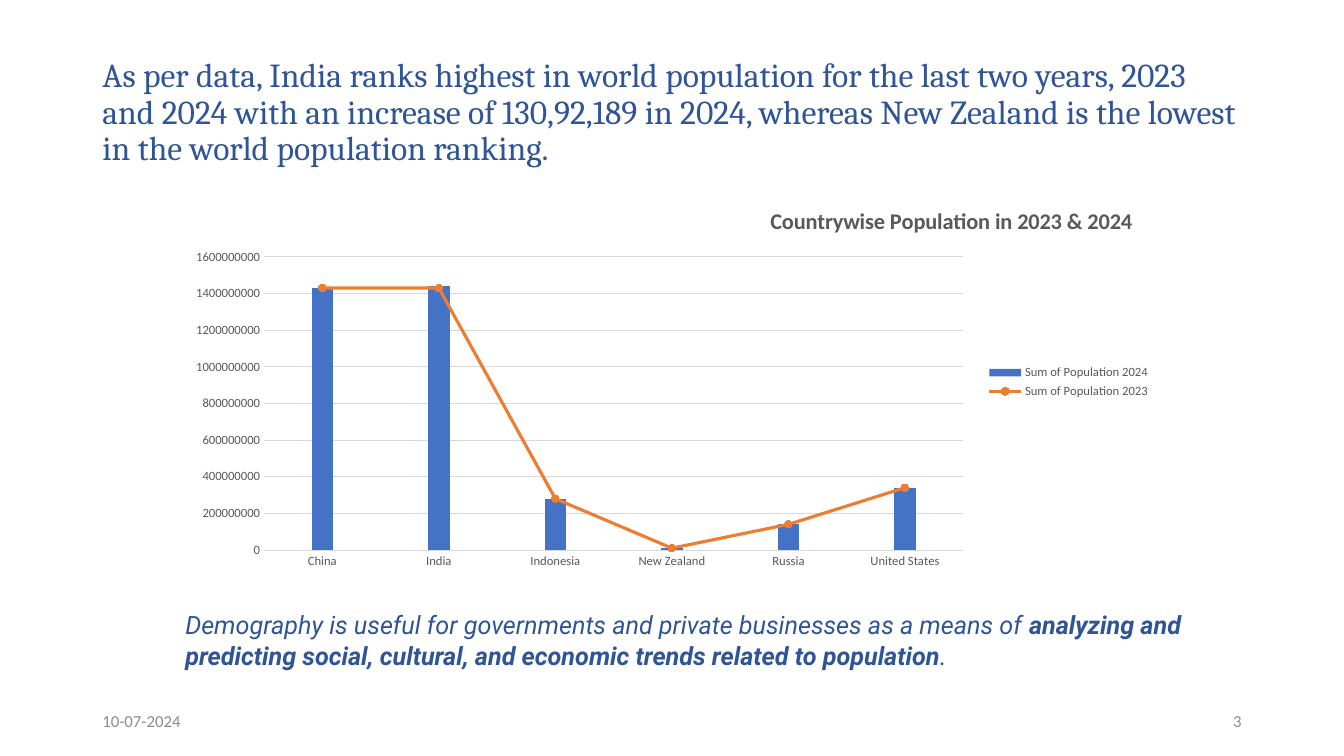
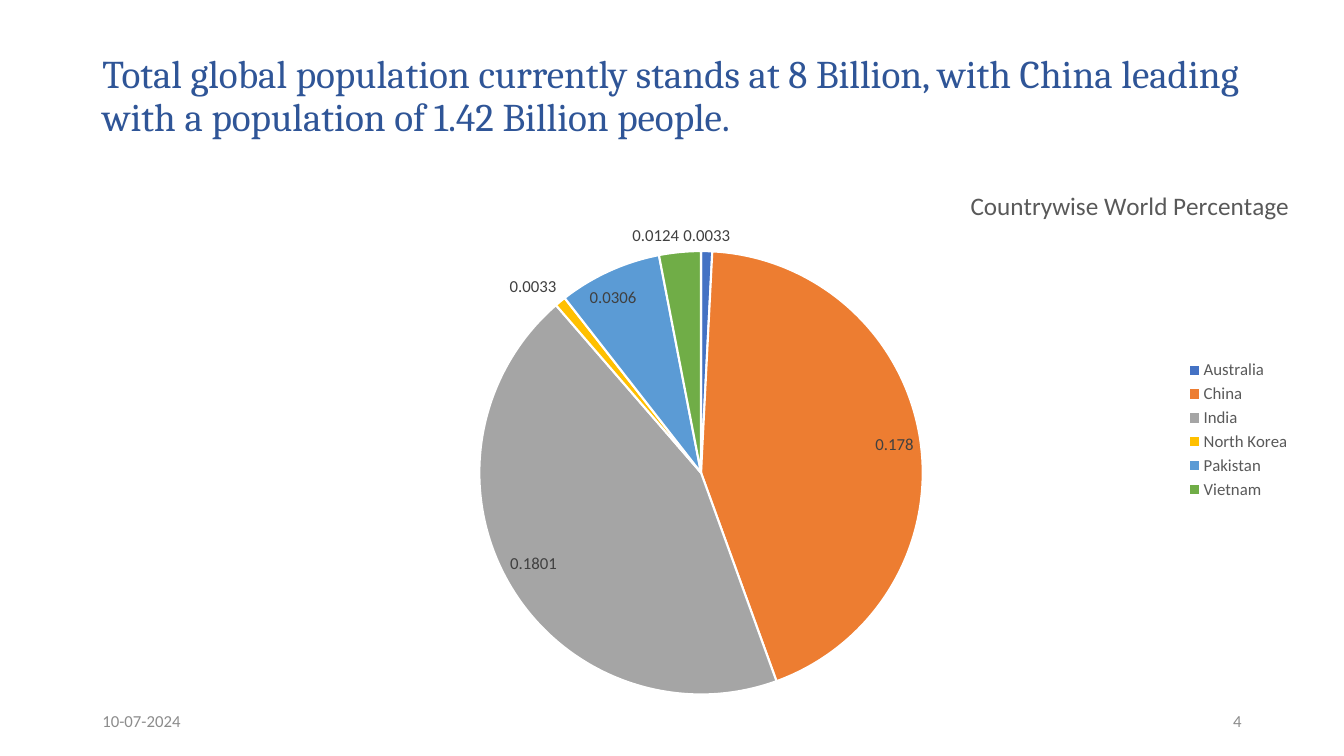
from pptx import Presentation
from pptx.chart import data
from pptx.dml.color import RGBColor
from pptx.enum import chart as kinds, text
from pptx.oxml import parse_xml
from pptx.oxml.ns import nsdecls
from pptx.util import Pt

HUES = {
    "head": "2F5597", "foot": "8C8C8C", "soft": "595959", "grid": "D9D9D9",
    "label": "404040", "black": "000000", "white": "FFFFFF",
    "blue": "4472C4", "orange": "ED7D31", "gray": "A5A5A5",
    "gold": "FFC000", "sky": "5B9BD5", "green": "70AD47",
}
SLICES = ["blue", "orange", "gray", "gold", "sky", "green"]


def hue(name):
    return RGBColor.from_string(HUES[name])


def place(node, index, **spots):
    for old in node.xpath("c:layout"):
        node.remove(old)
    modes = "".join(f'<c:{key}Mode val="edge"/>' for key in "xy")
    sizes = "".join(f'<c:{key} val="{val}"/>' for key, val in spots.items())
    inner = '<c:layoutTarget val="inner"/>' if "w" in spots else ""
    node.insert(index, parse_xml(
        f'<c:layout {nsdecls("c")}><c:manualLayout>{inner}{modes}{sizes}'
        '</c:manualLayout></c:layout>'))


def split(chart):
    bars = chart.element.xpath(".//c:barChart")[0]
    last = bars.xpath("c:ser")[-1]
    for flag in last.xpath("c:invertIfNegative"):
        last.remove(flag)
    lines = parse_xml(
        f'<c:lineChart {nsdecls("c")}><c:grouping val="standard"/>'
        '<c:varyColors val="0"/><c:marker val="1"/></c:lineChart>')
    lines.insert(2, last)
    for axis in bars.xpath("c:axId"):
        lines.append(parse_xml(
            f'<c:axId {nsdecls("c")} val="{axis.get("val")}"/>'))
    bars.addnext(lines)


class Deck:
    def __init__(self):
        self.show = Presentation()
        self.show.slide_width, self.show.slide_height = Pt(960), Pt(540)
        self.slide = None

    def font(self, font, size, color, face="Calibri", bold=False, slant=False):
        font.name, font.size = face, Pt(size)
        font.bold, font.italic = bold, slant
        font.color.rgb = hue(color)

    def title(self, words, top, size):
        self.slide = self.show.slides.add_slide(self.show.slide_layouts[5])
        box = self.slide.shapes.title
        box.left, box.top, box.width, box.height = map(Pt, (66, top, 828, 104.4))
        frame = box.text_frame
        frame.word_wrap = True
        frame.auto_size = text.MSO_AUTO_SIZE.NONE
        frame.vertical_anchor = text.MSO_ANCHOR.MIDDLE
        para = frame.paragraphs[0]
        para.alignment, para.line_spacing = text.PP_ALIGN.LEFT, 0.9
        run = para.add_run()
        run.text = words
        self.font(run.font, size, "head", "Cambria")

    def box(self, spot, runs, anchor=text.MSO_ANCHOR.TOP,
            align=text.PP_ALIGN.LEFT, **style):
        frame = self.slide.shapes.add_textbox(*map(Pt, spot)).text_frame
        frame.word_wrap, frame.vertical_anchor = True, anchor
        para = frame.paragraphs[0]
        para.alignment = align
        for words, bold in runs:
            run = para.add_run()
            run.text = words
            self.font(run.font, bold=bold, **style)

    def footer(self, number):
        sides = [(66, "10-07-2024", text.PP_ALIGN.LEFT),
                 (678, number, text.PP_ALIGN.RIGHT)]
        for left, words, align in sides:
            self.box((left, 500.25, 216, 28.75), [(words, False)],
                     text.MSO_ANCHOR.MIDDLE, align, size=12, color="foot")

    def chart(self, kind, spot, cats, series, title, size, bold, at, plot, key):
        feed = data.CategoryChartData()
        feed.categories = cats
        for name, vals in series:
            feed.add_series(name, vals)
        chart = self.slide.shapes.add_chart(kind, *map(Pt, spot), feed).chart
        self.font(chart.font, 10, "black")
        chart.has_title = True
        run = chart.chart_title.text_frame.paragraphs[0].add_run()
        run.text = title
        self.font(run.font, size, "soft", bold=bold)
        place(chart.chart_title.element, 1, **dict(zip("xy", at)))
        place(chart.element.xpath(".//c:plotArea")[0], 0,
              **dict(zip("xywh", plot)))
        chart.has_legend = True
        chart.legend.position = kinds.XL_LEGEND_POSITION.RIGHT
        chart.legend.include_in_layout = False
        self.font(chart.legend.font, key, "soft")
        return chart

    def combo(self, **args):
        chart = self.chart(kinds.XL_CHART_TYPE.COLUMN_CLUSTERED, **args)
        split(chart)
        bars, lines = chart.plots
        bars.gap_width, bars.vary_by_categories = 444, False
        fill = bars.series[0].format.fill
        fill.solid()
        fill.fore_color.rgb = hue("blue")
        line = lines.series[0]
        line.smooth = False
        line.format.line.width = Pt(2.25)
        line.format.line.color.rgb = hue("orange")
        line.marker.style, line.marker.size = kinds.XL_MARKER_STYLE.CIRCLE, 5
        fill = line.marker.format.fill
        fill.solid()
        fill.fore_color.rgb = hue("orange")
        line.marker.format.line.color.rgb = hue("orange")
        cat, val = chart.category_axis, chart.value_axis
        for axis in (cat, val):
            axis.major_tick_mark = kinds.XL_TICK_MARK.NONE
            axis.minor_tick_mark = kinds.XL_TICK_MARK.NONE
            self.font(axis.tick_labels.font, 9, "soft")
        val.has_major_gridlines = True
        val.minimum_scale, val.maximum_scale = 0, 1600000000
        val.major_unit = 200000000
        val.format.line.fill.background()
        for edge in (cat.format.line, val.major_gridlines.format.line):
            edge.width, edge.color.rgb = Pt(0.75), hue("grid")

    def pie(self, **args):
        chart = self.chart(kinds.XL_CHART_TYPE.PIE, **args)
        plot = chart.plots[0]
        plot.vary_by_categories = True
        for spot, name in enumerate(SLICES):
            part = plot.series[0].points[spot].format
            part.fill.solid()
            part.fill.fore_color.rgb = hue(name)
            part.line.width, part.line.color.rgb = Pt(1.5), hue("white")
        labels = plot.series[0].data_labels
        labels.show_value = True
        labels.show_percentage = False
        labels.position = kinds.XL_LABEL_POSITION.BEST_FIT
        self.font(labels.font, 12, "label")


def main():
    deck = Deck()
    deck.title("As per data, India ranks highest in world population for the "
               "last two years, 2023 and 2024 with an increase of 130,92,189 in "
               "2024, whereas New Zealand is the lowest in the world population "
               "ranking.", 28.75, 24)
    deck.footer("3")
    deck.combo(
        spot=(125.25, 133.25, 703.5, 279.25),
        cats=["China", "India", "Indonesia", "New Zealand", "Russia",
              "United States"],
        series=[("Sum of Population 2024",
                 [1430000000, 1440000000, 280000000, 10000000, 140000000,
                  340000000]),
                ("Sum of Population 2023",
                 [1430000000, 1430000000, 280000000, 10000000, 140000000,
                  340000000])],
        title="Countrywise Population in 2023 & 2024", size=16, bold=True,
        at=(0.6, 0.04), plot=(0.09, 0.18, 0.71, 0.75), key=9)
    deck.box((125.25, 432, 774, 51),
             [("Demography is useful for governments and private businesses "
               "as a means of ", False),
              ("analyzing and predicting social, cultural, and economic trends "
               "related to population", True),
              (".", False)],
             size=18, color="head", face="Roboto", slant=True)

    deck.title("Total global population currently stands at 8 Billion, with "
               "China leading with a population of 1.42 Billion people.",
               17.25, 28)
    deck.footer("4")
    deck.pie(
        spot=(157, 103, 772.5, 408.25),
        cats=["Australia", "China", "India", "North Korea", "Pakistan",
              "Vietnam"],
        series=[("Series 1", [0.0033, 0.178, 0.1801, 0.0033, 0.0306, 0.0124])],
        title="Countrywise World Percentage", size=18, bold=False,
        at=(0.69, 0.07), plot=(0.24, 0.18, 0.41, 0.79), key=12)
    deck.show.save("out.pptx")


if __name__ == "__main__":
    main()
